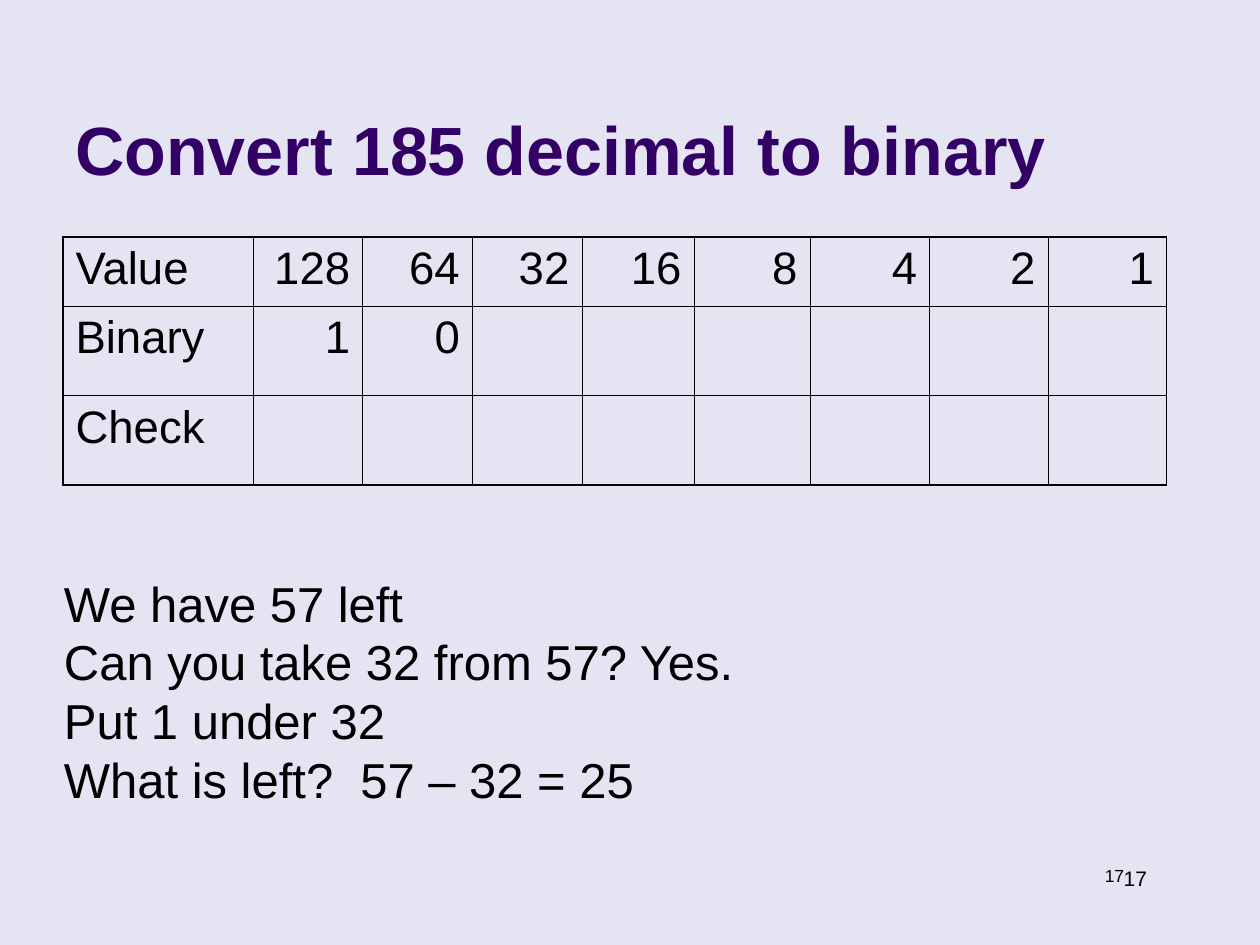
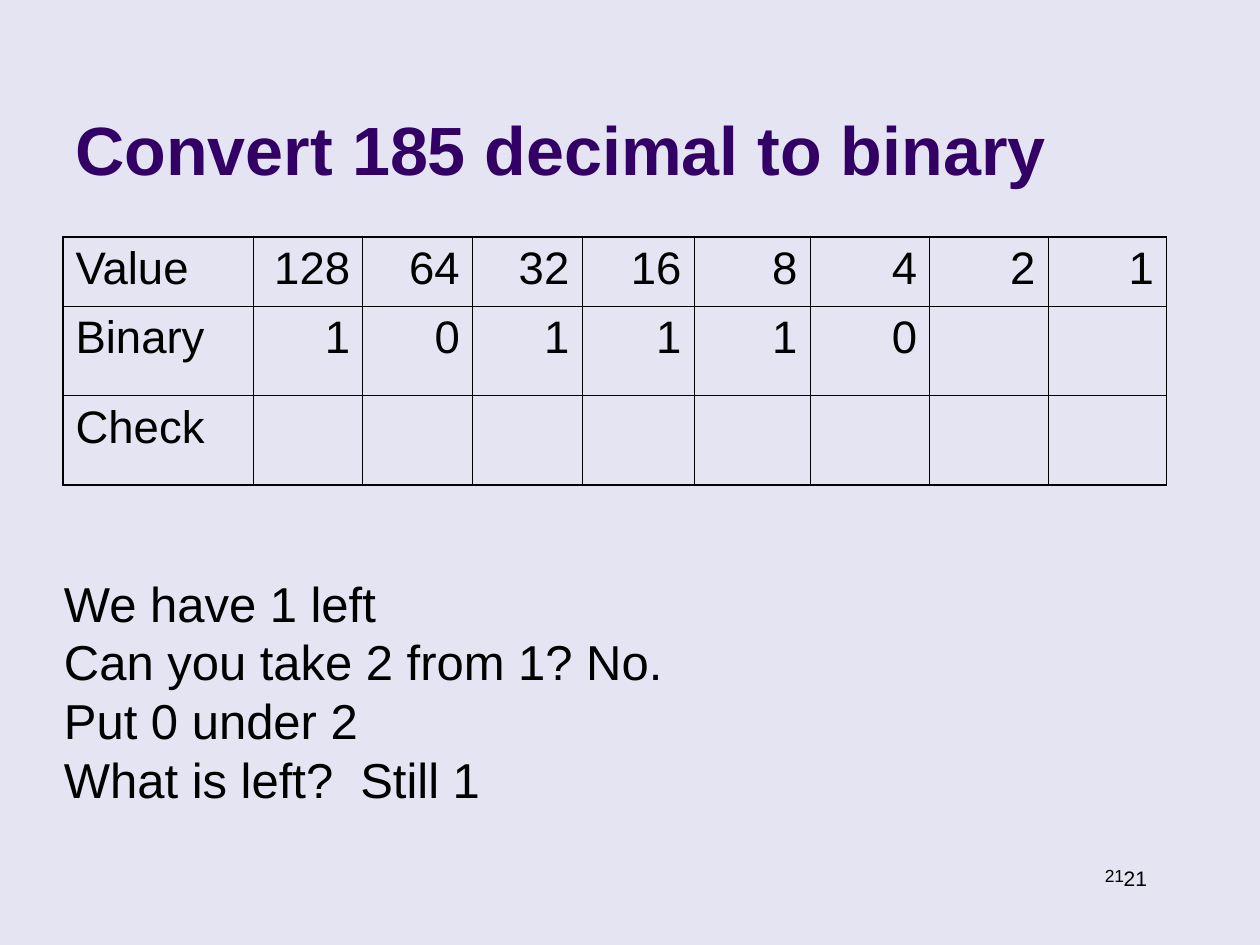
from lxml import etree
from pptx import Presentation, util as u
from pptx.dml.color import RGBColor
from pptx.enum import text
from pptx.oxml import ns

PX = 9144  # EMU per px, 100 px to the inch
FONT = "Arial"
COLORS = {"bg": "E4E4F2", "title": "330066", "ink": "000000"}
LEFT, RIGHT = text.PP_ALIGN.LEFT, text.PP_ALIGN.RIGHT
THICK, THIN = 1.08, 0.45

COL_WIDTHS = [151, 87, 87, 87, 89, 92, 95, 94, 94]
ROW_HEIGHTS = [55, 71, 71]
PLACES = [2 ** n for n in range(7, -1, -1)]

STEPS = [
    {"number": 17, "bits": "10",
     "notes": ["We have 57 left", "Can you take 32 from 57? Yes.",
               "Put 1 under 32", "What is left?  57 – 32 = 25"]},
    {"number": 21, "bits": "101110",
     "notes": ["We have 1 left", "Can you take 2 from 1? No.",
               "Put 0 under 2", "What is left?  Still 1"]},
]


class Deck:
    def __init__(self, width, height):
        self.prs = Presentation()
        self.prs.slide_width = width * PX
        self.prs.slide_height = height * PX
        self.s = None

    def slide(self):
        self.s = self.prs.slides.add_slide(self.prs.slide_layouts[6])
        fill = self.s.background.fill
        fill.solid()
        fill.fore_color.rgb = RGBColor.from_string(COLORS["bg"])

    def style(self, p, size, color="ink", bold=False, align=LEFT):
        p.alignment = align
        for r in p.runs:
            r.font.name = FONT
            r.font.size = u.Pt(size)
            r.font.bold = bold
            r.font.color.rgb = RGBColor.from_string(COLORS[color])

    def text(self, box, content, size, anchor=text.MSO_ANCHOR.TOP, **look):
        sp = self.s.shapes.add_textbox(*(n * PX for n in box))
        tf = sp.text_frame
        tf.word_wrap = True
        tf.vertical_anchor = anchor
        tf.text = content
        for p in tf.paragraphs:
            self.style(p, size, **look)

    def borders(self, cell, widths):
        tc_pr = cell._tc.get_or_add_tcPr()
        for i, (side, width) in enumerate(widths.items()):
            ln = etree.Element(ns.qn(f"a:ln{side}"), w=str(u.Pt(width)))
            fill = etree.SubElement(ln, ns.qn("a:solidFill"))
            etree.SubElement(fill, ns.qn("a:srgbClr"), val=COLORS["ink"])
            tc_pr.insert(i, ln)

    def table(self, left, top, rows, size):
        last_row, last_col = len(ROW_HEIGHTS) - 1, len(COL_WIDTHS) - 1
        tbl = self.s.shapes.add_table(
            last_row + 1, last_col + 1, left * PX, top * PX,
            sum(COL_WIDTHS) * PX, sum(ROW_HEIGHTS) * PX).table
        tbl.first_row = tbl.horz_banding = False
        for col, width in zip(tbl.columns, COL_WIDTHS):
            col.width = width * PX
        for i, height in enumerate(ROW_HEIGHTS):
            tbl.rows[i].height = height * PX
            for j in range(last_col + 1):
                cell = tbl.cell(i, j)
                cell.fill.background()
                # Thick outer frame, thin inner grid
                self.borders(cell, {
                    "L": THIN if j else THICK,
                    "R": THICK if j == last_col else THIN,
                    "T": THIN if i else THICK,
                    "B": THICK if i == last_row else THIN})
                if j < len(rows[i]):
                    cell.text = str(rows[i][j])
                    self.style(cell.text_frame.paragraphs[0], size,
                               align=RIGHT if j else LEFT)

    def page_number(self, number):
        self.text((697, 682, 205, 27), str(number), 10, align=RIGHT)
        self.text((882, 682, 96, 30), str(number), 12)


def main():
    deck = Deck(1000, 750)
    for step in STEPS:
        deck.slide()
        deck.page_number(step["number"])
        # Title
        deck.text((50, 13, 825, 142), "Convert 185 decimal to binary", 39,
                  text.MSO_ANCHOR.BOTTOM, color="title", bold=True)
        # Place values and the bits found so far
        rows = [["Value", *PLACES], ["Binary", *step["bits"]], ["Check"]]
        deck.table(50, 188, rows, 26)
        # Working for the next bit
        deck.text((41, 450, 837, 197), "\n".join(step["notes"]), 28)
    deck.prs.save("out.pptx")


if __name__ == "__main__":
    main()
